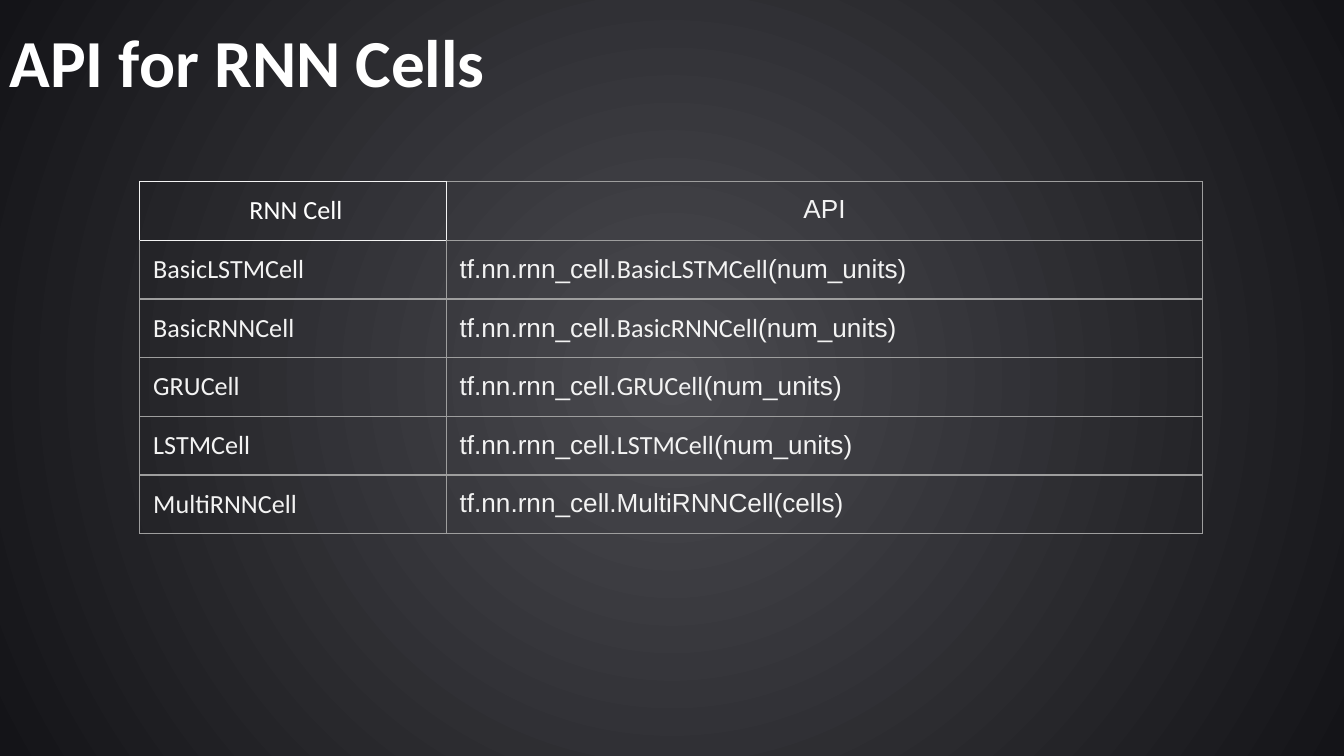
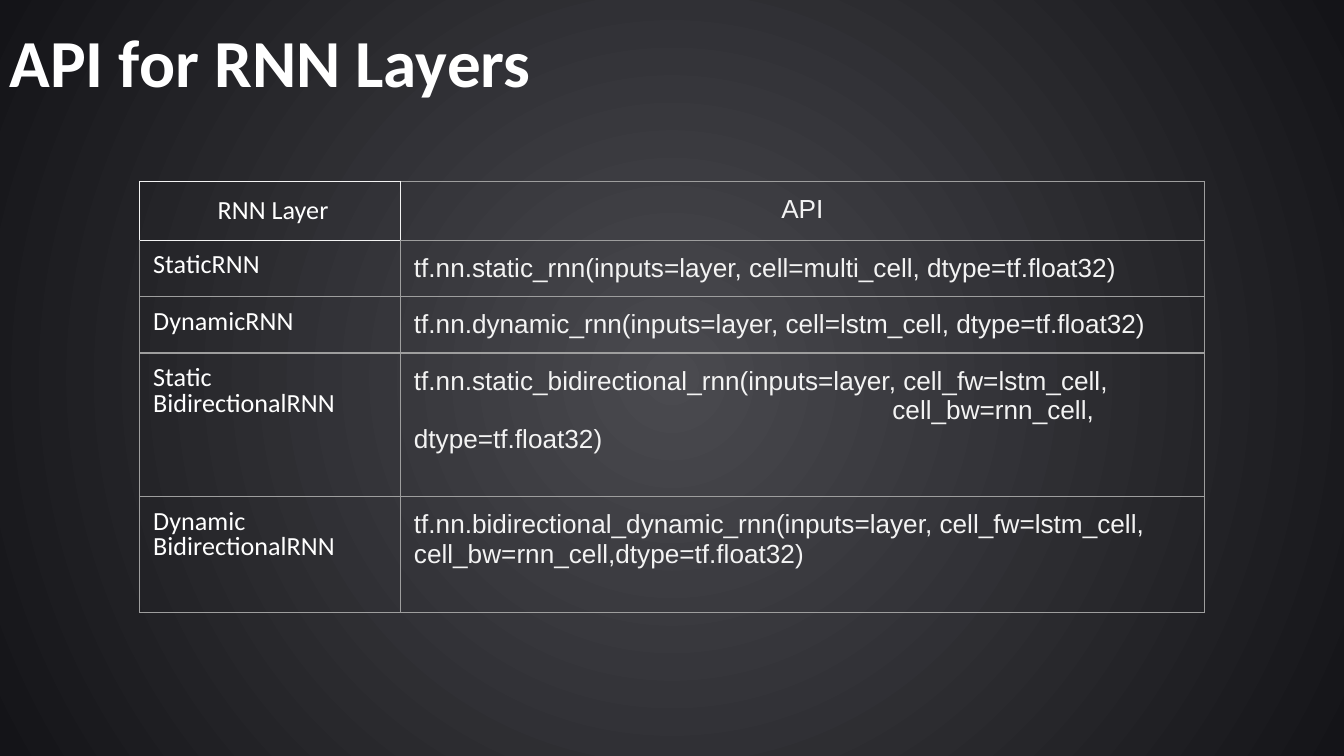
from dataclasses import dataclass

from lxml import etree
from pptx import Presentation
from pptx.dml.color import RGBColor
from pptx.enum.text import MSO_ANCHOR, MSO_AUTO_SIZE, PP_ALIGN
from pptx.oxml.ns import qn
from pptx.presentation import Presentation as Deck
from pptx.slide import Slide
from pptx.table import _Cell
from pptx.text.text import _Paragraph
from pptx.util import Inches, Length, Pt

LEFT = PP_ALIGN.LEFT
CENTER = PP_ALIGN.CENTER
TOP = MSO_ANCHOR.TOP
NO_AUTOFIT = MSO_AUTO_SIZE.NONE

WHITE = RGBColor(0xFF, 0xFF, 0xFF)
LIGHT = RGBColor(0xF3, 0xF3, 0xF3)
GRID = RGBColor(0x9E, 0x9E, 0x9E)
GLOW = RGBColor(0x4A, 0x4A, 0x4F)
NIGHT = RGBColor(0x14, 0x14, 0x18)

NAME_FONT = "Calibri"
CODE_FONT = "Arial"
TITLE_ONLY_LAYOUT = 5
SLIDE_WIDTH = Inches(10)
SLIDE_HEIGHT = SLIDE_WIDTH * 9 // 16
TABLE_LEFT, TABLE_TOP = Inches(1.04), Inches(1.35)
ROW_HEIGHT = Inches(0.42)
CELL_MARGIN = Inches(0.1)
BORDER_WIDTH = Pt(0.75)


@dataclass(frozen=True)
class Run:
    text: str
    font: str = CODE_FONT
    color: RGBColor = LIGHT


@dataclass(frozen=True)
class Line:
    """One paragraph of a cell."""
    runs: tuple[Run, ...]
    alignment: PP_ALIGN = LEFT
    indent: Length = Inches(0)
    line_spacing: float | None = None
    space_before: Length | None = None


@dataclass(frozen=True)
class Row:
    name: Line
    code: tuple[Line, ...]
    height: Length = ROW_HEIGHT


@dataclass(frozen=True)
class ApiSlide:
    title: str
    widths: tuple[Length, Length]
    rows: tuple[Row, ...]


def header_row(name: str) -> Row:
    return Row(Line((Run(name, NAME_FONT, WHITE),), CENTER), (Line((Run("API"),), CENTER),))


def cell_row(name: str) -> Row:
    """A row for an RNN cell whose call takes the number of units."""
    call = (Run("tf.nn.rnn_cell."), Run(name, NAME_FONT), Run("(num_units)"))
    return Row(Line((Run(name, NAME_FONT),)), (Line(call),))


def layer_row(name: str, *code: Line, height: Length = ROW_HEIGHT) -> Row:
    label = Line((Run(name, NAME_FONT, WHITE),), line_spacing=0.8, space_before=Pt(8))
    return Row(label, code, height)


def code_line(text: str, indent: Length = Inches(0)) -> Line:
    return Line((Run(text),), indent=indent)


SLIDES = (
    ApiSlide(
        "API for RNN Cells",
        (Inches(2.28), Inches(5.63)),
        (
            header_row(" RNN Cell"),
            *map(cell_row, ("BasicLSTMCell", "BasicRNNCell", "GRUCell", "LSTMCell")),
            Row(
                Line((Run("MultiRNNCell", NAME_FONT),)),
                (code_line("tf.nn.rnn_cell.MultiRNNCell(cells)"),),
            ),
        ),
    ),
    ApiSlide(
        "API for RNN Layers",
        (Inches(1.94), Inches(5.98)),
        (
            header_row(" RNN Layer"),
            layer_row(
                "StaticRNN",
                code_line("tf.nn.static_rnn(inputs=layer, cell=multi_cell, dtype=tf.float32)"),
            ),
            layer_row(
                "DynamicRNN",
                code_line("tf.nn.dynamic_rnn(inputs=layer, cell=lstm_cell, dtype=tf.float32)"),
            ),
            layer_row(
                "Static BidirectionalRNN",
                code_line("tf.nn.static_bidirectional_rnn(inputs=layer, cell_fw=lstm_cell,"),
                code_line("cell_bw=rnn_cell, dtype=tf.float32)", Inches(3.56)),
                height=Inches(1.07),
            ),
            layer_row(
                "Dynamic BidirectionalRNN",
                code_line(
                    "tf.nn.bidirectional_dynamic_rnn(inputs=layer, cell_fw=lstm_cell, "
                    "cell_bw=rnn_cell,dtype=tf.float32)"
                ),
                height=Inches(0.86),
            ),
        ),
    ),
)


def set_master_background(presentation: Deck) -> None:
    """Give every slide a radial gradient, bright in the middle."""
    master = presentation.slide_master
    fill = master.background.fill
    fill.gradient()
    for stop, color in zip(fill.gradient_stops, (GLOW, NIGHT)):
        stop.color.rgb = color
    linear = master.element.cSld.find(".//" + qn("a:lin"))
    gradient = linear.getparent()
    gradient.remove(linear)
    circle = etree.SubElement(gradient, qn("a:path"), {"path": "circle"})
    center = dict.fromkeys("ltrb", "50000")
    etree.SubElement(circle, qn("a:fillToRect"), center)


def add_title(slide: Slide, text: str) -> None:
    title = slide.shapes.title
    title.left, title.top = Inches(0), Inches(0.18)
    title.width, title.height = Inches(9.38), Inches(0.54)
    frame = title.text_frame
    frame.text = text
    frame.word_wrap = True
    frame.auto_size = NO_AUTOFIT
    frame.vertical_anchor = TOP
    frame.margin_left = frame.margin_right = Inches(0.07)
    frame.margin_top = frame.margin_bottom = Inches(0.04)
    paragraph = frame.paragraphs[0]
    paragraph.alignment = LEFT
    paragraph.line_spacing = 0.9
    font = paragraph.runs[0].font
    font.name, font.size, font.bold = NAME_FONT, Pt(36), True
    font.color.rgb = WHITE


def write_line(paragraph: _Paragraph, line: Line) -> None:
    paragraph.alignment = line.alignment
    paragraph.line_spacing = line.line_spacing
    paragraph.space_before = line.space_before
    if line.indent:
        properties = paragraph._p.get_or_add_pPr()
        properties.set("marL", "0")
        properties.set("indent", str(line.indent))
    for part in line.runs:
        run = paragraph.add_run()
        run.text = part.text
        run.font.name, run.font.size = part.font, Pt(14)
        run.font.color.rgb = part.color


def set_borders(cell: _Cell, light_sides: str) -> None:
    """Draw all four borders; the sides named in light_sides are brighter."""
    properties = cell._tc.get_or_add_tcPr()
    for side in "LRTB":
        border = etree.SubElement(properties, qn(f"a:ln{side}"), {"w": str(BORDER_WIDTH)})
        fill = etree.SubElement(border, qn("a:solidFill"))
        color = LIGHT if side in light_sides else GRID
        etree.SubElement(fill, qn("a:srgbClr"), {"val": str(color)})


def fill_cell(cell: _Cell, lines: tuple[Line, ...], light_sides: str) -> None:
    set_borders(cell, light_sides)
    cell.fill.background()
    cell.vertical_anchor = TOP
    cell.margin_left = cell.margin_right = CELL_MARGIN
    cell.margin_top = cell.margin_bottom = CELL_MARGIN
    frame = cell.text_frame
    for index, line in enumerate(lines):
        write_line(frame.add_paragraph() if index else frame.paragraphs[0], line)


def add_api_table(slide: Slide, content: ApiSlide) -> None:
    rows = content.rows
    table = slide.shapes.add_table(
        len(rows), len(content.widths), TABLE_LEFT, TABLE_TOP,
        sum(content.widths), sum(row.height for row in rows),
    ).table
    table.first_row = table.horz_banding = False
    for column, width in zip(table.columns, content.widths):
        column.width = width
    light_sides = {(0, 0): "LRTB", (0, 1): "L", (1, 0): "T"}
    for row_index, row in enumerate(rows):
        table.rows[row_index].height = row.height
        for column_index, lines in enumerate(((row.name,), row.code)):
            position = (row_index, column_index)
            fill_cell(table.cell(*position), lines, light_sides.get(position, ""))


def main() -> None:
    presentation = Presentation()
    presentation.slide_width, presentation.slide_height = SLIDE_WIDTH, SLIDE_HEIGHT
    set_master_background(presentation)
    layout = presentation.slide_layouts[TITLE_ONLY_LAYOUT]
    for content in SLIDES:
        slide = presentation.slides.add_slide(layout)
        add_title(slide, content.title)
        add_api_table(slide, content)
    presentation.save("out.pptx")


if __name__ == "__main__":
    main()
